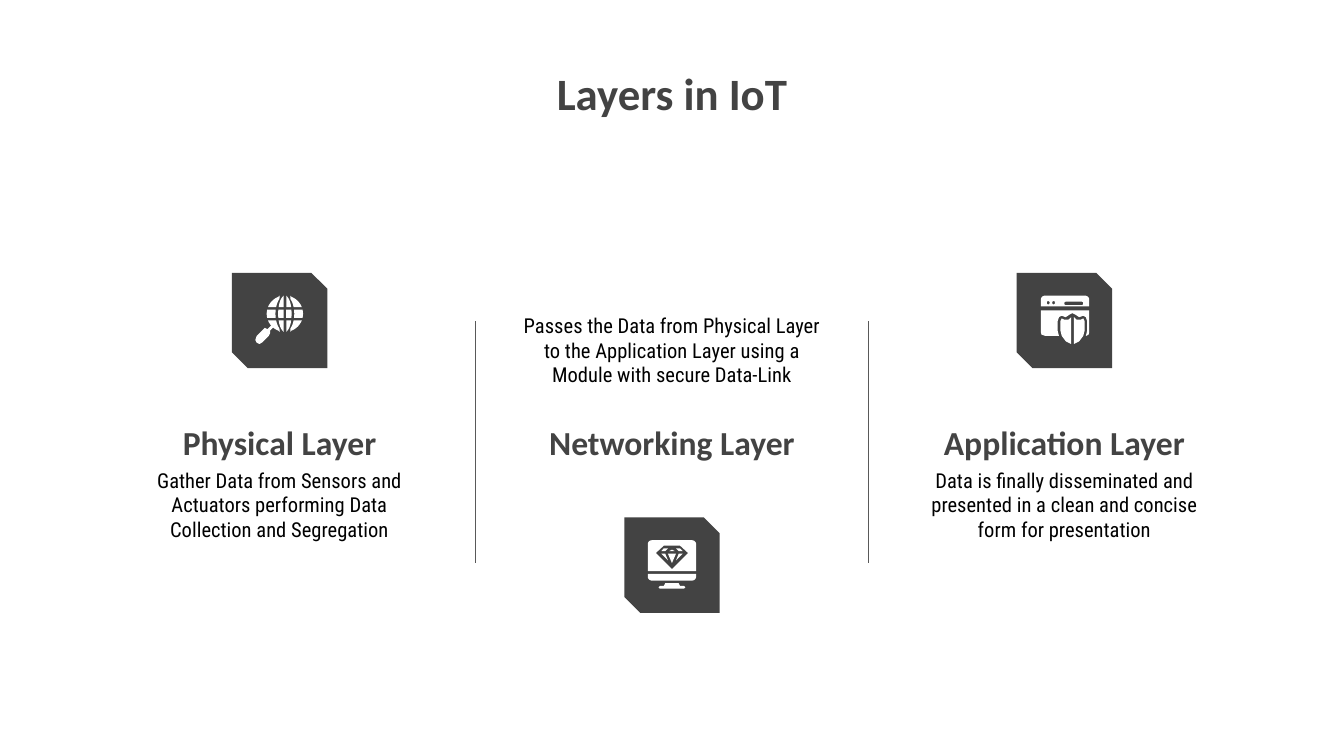
import math
import pptx
import pptx.dml.color
import pptx.enum.shapes
import pptx.enum.text
import pptx.oxml.ns
import pptx.util
from lxml import etree

Inches = pptx.util.Inches
Pt = pptx.util.Pt
RGBColor = pptx.dml.color.RGBColor
ANCHOR = pptx.enum.text.MSO_ANCHOR

DARK = RGBColor(0x43, 0x43, 0x43)
GREY = RGBColor(0x59, 0x59, 0x59)
BLACK = RGBColor(0, 0, 0)
WHITE = RGBColor(0xFF, 0xFF, 0xFF)

FIRST_CENTER = 2.08
COLUMN_WIDTH = 2.92
BADGE_SIZE = 0.71
LAYERS = [
    ("Physical Layer", "Gather Data from Sensors and Actuators performing Data "
     "Collection and Segregation", 2.24, 3.38, 2.03),
    ("Networking Layer", "Passes the Data from Physical Layer to the Application "
     "Layer using a Module with secure Data-Link", 2.43, 2.23, 3.85),
    ("Application Layer", "Data is finally disseminated and presented in a clean "
     "and concise form for presentation", 2.43, 3.38, 2.03),
]


class SlideBuilder:
    heading_font = "Calibri"
    body_font = "Roboto Condensed"

    def __init__(self, slide):
        self.slide = slide
        self.shapes = slide.shapes

    def text(self, text, left, top, width, height, size, heading=True, anchor=ANCHOR.TOP):
        box = self.shapes.add_textbox(Inches(left), Inches(top), Inches(width), Inches(height))
        frame = box.text_frame
        frame.word_wrap = True
        frame.vertical_anchor = anchor
        frame.margin_left = frame.margin_right = Inches(0.1)
        frame.margin_top = frame.margin_bottom = Inches(0.1)
        paragraph = frame.paragraphs[0]
        paragraph.text = text
        paragraph.alignment = pptx.enum.text.PP_ALIGN.CENTER
        paragraph.font.size = Pt(size)
        paragraph.font.bold = heading
        paragraph.font.name = self.heading_font if heading else self.body_font
        paragraph.font.color.rgb = DARK if heading else BLACK

    def divider(self, x, top, bottom):
        line = self.shapes.add_connector(
            pptx.enum.shapes.MSO_CONNECTOR.STRAIGHT,
            Inches(x), Inches(top), Inches(x), Inches(bottom))
        line.line.color.rgb = GREY
        line.line.width = Pt(0.75)
        etree.SubElement(line._element.spPr, pptx.oxml.ns.qn("a:effectLst"))

    def paint(self, shape, color):
        shape.shadow.inherit = False
        shape.fill.solid()
        shape.fill.fore_color.rgb = color
        shape.line.fill.background()
        return shape

    def badge(self, left, top):
        shape = self.shapes.add_shape(
            pptx.enum.shapes.MSO_SHAPE.SNIP_2_DIAG_RECTANGLE,
            Inches(left), Inches(top), Inches(BADGE_SIZE), Inches(BADGE_SIZE))
        shape.adjustments[0] = 0
        shape.adjustments[1] = 0.167
        self.paint(shape, DARK)

    def outline(self, *contours):
        scaled = [[(Inches(x), Inches(y)) for x, y in contour] for contour in contours]
        builder = self.shapes.build_freeform(*scaled[0][0])
        builder.add_line_segments(scaled[0][1:])
        for contour in scaled[1:]:
            builder.move_to(*contour[0])
            builder.add_line_segments(contour[1:])
        return self.paint(builder.convert_to_shape(), WHITE)

    def icon(self, outlines):
        self.shapes.add_group_shape([self.outline(*contours) for contours in outlines])


def rounded_box(left, top, right, bottom, upper=0.0, lower=0.0):
    corners = [(left, top, upper, 1, 1, 180), (right, top, upper, -1, 1, 270),
               (right, bottom, lower, -1, -1, 0), (left, bottom, lower, 1, -1, 90)]
    points = []
    for x, y, radius, inward_x, inward_y, start in corners:
        for angle in range(start, start + 91, 15) if radius else [start]:
            turn = math.radians(angle)
            points.append((x + radius * (inward_x + math.cos(turn)),
                           y + radius * (inward_y + math.sin(turn))))
    return points


def mirrored(half, center):
    right = [(center + x, y) for x, y in half]
    return right + [(center - x, y) for x, y in reversed(half)]


def globe_panel(side, inner, outer, top, bottom, steps=10):
    center_x, center_y, radius = 2.12, 2.335, 0.135

    def edge(least, reach):
        points = []
        for step in range(steps + 1):
            y = top + (bottom - top) * step / steps
            spread = math.sqrt(max(0, 1 - (y / radius) ** 2))
            points.append((center_x + side * max(least, reach * spread), center_y + y))
        return points

    return edge(*inner) + edge(*outer)[::-1]


def globe_search():
    rows = [(-0.135, -0.05), (-0.03, 0.03), (0.05, 0.135)]
    bands = [((0.01, 0), (0.01, 0.05)), ((0.04, 0.07), (0.04, 0.135))]
    panels = [[globe_panel(side, inner, outer, top, bottom)]
              for side in (-1, 1) for inner, outer in bands for top, bottom in rows]
    handle = [(2.01, 2.4), (2.02, 2.42), (1.99, 2.45), (1.97, 2.44), (1.96, 2.45),
              (1.91, 2.5), (1.9, 2.53), (1.91, 2.55), (1.93, 2.56), (1.95, 2.55),
              (2, 2.5), (2.01, 2.48), (2.01, 2.46), (2.04, 2.43)]
    return panels + [[handle]]


def diamond_monitor():
    center = 5
    gem = [(4.94, 4.06), (5.06, 4.06), (5.12, 4.115), (5, 4.235), (4.88, 4.115)]
    side_facets = [[(0.03, 4.08), (0.05, 4.1), (0.08, 4.1), (0.06, 4.08)],
                   [(0.05, 4.12), (0.03, 4.17), (0.08, 4.12)]]
    facets = [[[(center + side * x, y) for x, y in facet]]
              for facet in side_facets for side in (-1, 1)]
    middle = [[[(5, 4.09), (4.98, 4.1), (5.02, 4.1)]],
              [[(4.97, 4.12), (5, 4.19), (5.03, 4.12)]]]
    stand = mirrored([(0.05, 4.34), (0.06, 4.36), (0.09, 4.36), (0.1, 4.37), (0.09, 4.38)], center)
    screen = rounded_box(4.82, 4.02, 5.18, 4.25, upper=0.03)
    base = rounded_box(4.82, 4.27, 5.18, 4.32, lower=0.03)
    return [[screen, gem], [base], [stand]] + facets + middle


def shielded_window():
    center = 7.98
    dots = [rounded_box(x, 2.24, x + 0.02, 2.265, 0.01, 0.01) for x in (7.79, 7.83)]
    address = rounded_box(7.92, 2.245, 8.06, 2.27, 0.01, 0.01)
    header = rounded_box(7.745, 2.2, 8.105, 2.28, upper=0.03)
    notch = mirrored([(0.1, 2.5), (0.11, 2.46), (0.11, 2.39), (0.1, 2.36), (0.08, 2.35),
                      (0.05, 2.36), (0.02, 2.34), (0, 2.33)], center)
    body = [(7.745, 2.31), (8.105, 2.31), (8.105, 2.47), (8.1, 2.49), *notch,
            (7.78, 2.5), (7.75, 2.49), (7.745, 2.47)]
    shield = [(0.01, 2.36), (0.03, 2.38), (0.06, 2.38), (0.08, 2.37), (0.09, 2.39),
              (0.09, 2.46), (0.08, 2.5), (0.05, 2.54), (0.01, 2.56)]
    halves = [[[(center + side * x, y) for x, y in shield]] for side in (-1, 1)]
    return [[header, *dots, address], [body]] + halves


def main():
    presentation = pptx.Presentation()
    presentation.slide_width = Inches(10)
    presentation.slide_height = Inches(10 * 9 / 16)
    builder = SlideBuilder(presentation.slides.add_slide(presentation.slide_layouts[6]))

    builder.text("Layers in IoT", 2.15, 0.39, 5.7, 1.03, 24)
    for index, (name, description, width, text_top, badge_top) in enumerate(LAYERS):
        center = FIRST_CENTER + COLUMN_WIDTH * index
        left = center - COLUMN_WIDTH / 2
        builder.text(name, left, 3.07, COLUMN_WIDTH, 0.47, 18, anchor=ANCHOR.BOTTOM)
        builder.text(description, center - width / 2, text_top, width, 1.1, 11, heading=False)
        builder.badge(center - BADGE_SIZE / 2, badge_top)
        if index:
            builder.divider(left, 2.39, 4.19)
    for outlines in (globe_search(), diamond_monitor(), shielded_window()):
        builder.icon(outlines)

    presentation.save("out.pptx")


if __name__ == "__main__":
    main()
